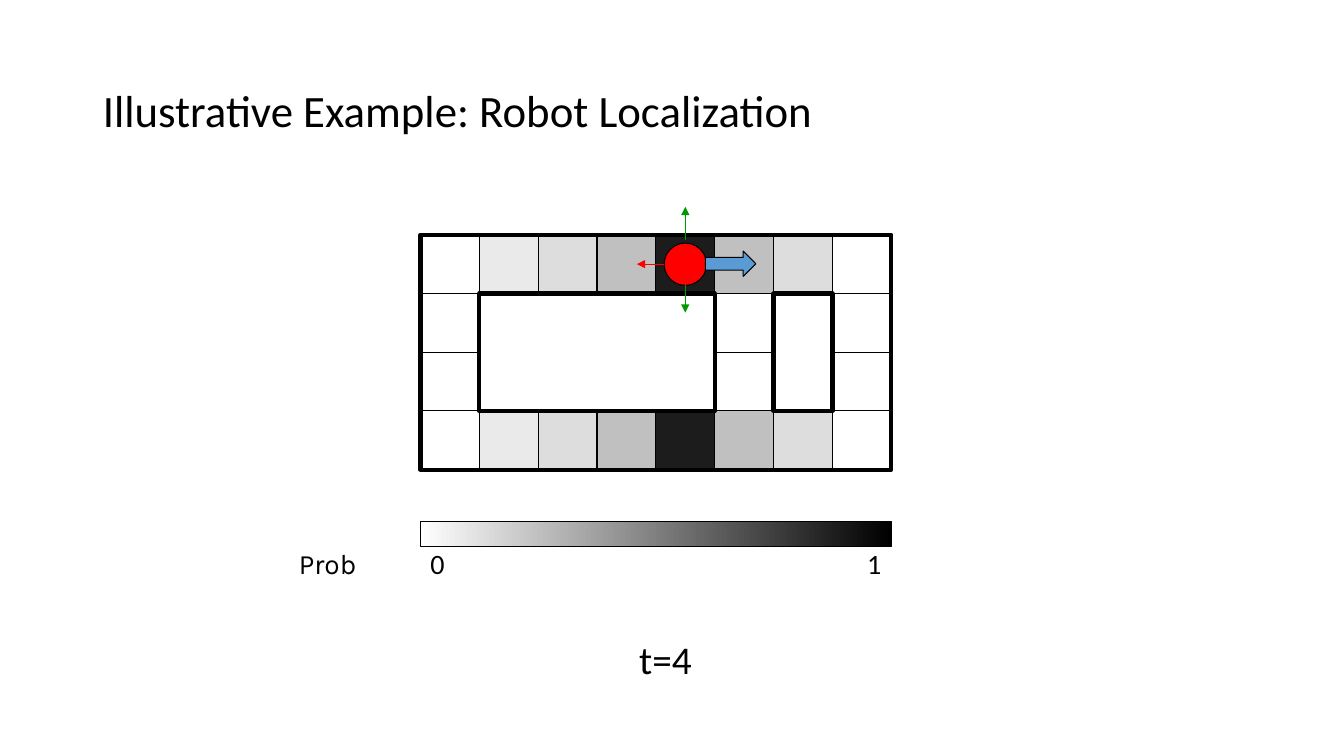
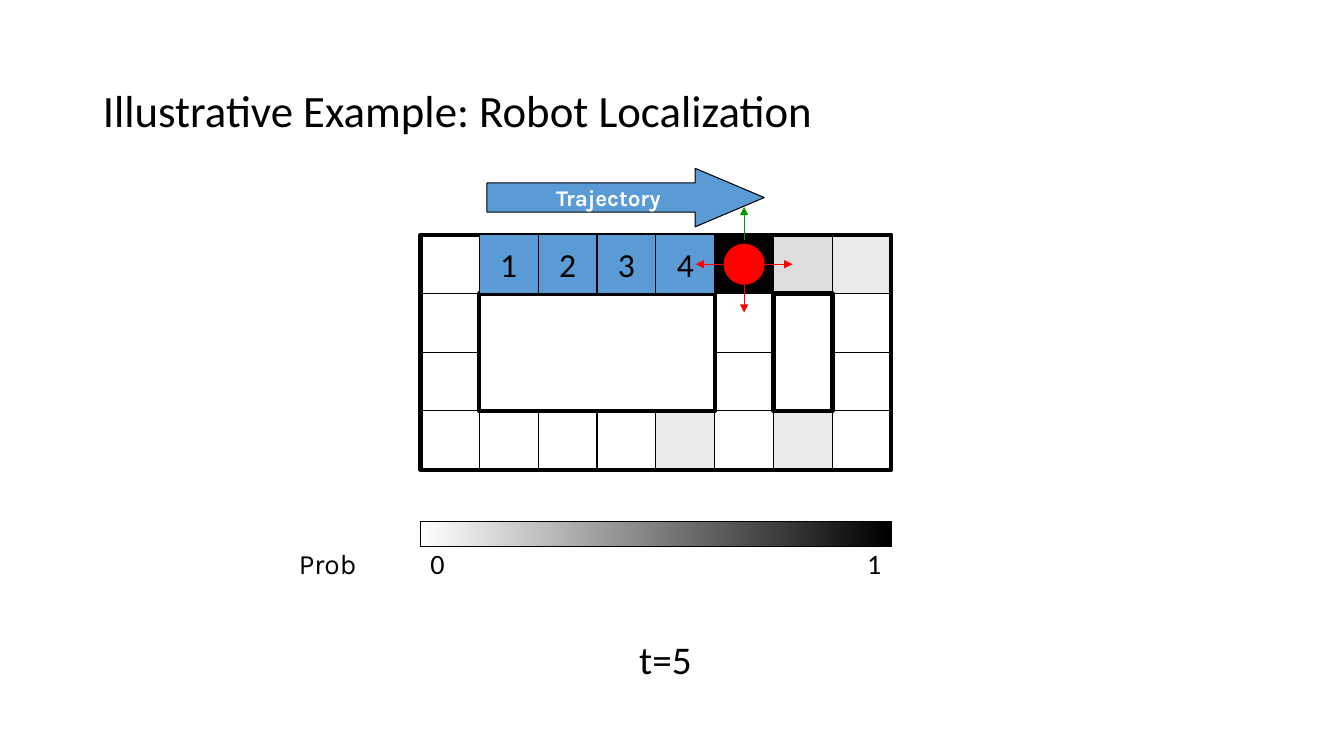
from dataclasses import dataclass

from lxml import etree
from pptx import Presentation
from pptx.dml.color import RGBColor
from pptx.enum import shapes, text
from pptx.oxml.ns import qn
from pptx.util import Inches, Pt

MSO = shapes.MSO_SHAPE
ALIGN = text.PP_ALIGN


@dataclass(frozen=True)
class Theme:
    """Colours, fonts and type sizes shared by the slides."""
    black: str = "000000"
    white: str = "FFFFFF"
    red: str = "FF0000"
    green: str = "009900"
    blue: str = "5B9BD5"
    font: str = "Calibri"
    label_font: str = "Karla"
    title: int = 32
    step: int = 28
    number: int = 24
    scale: int = 20
    label: int = 16
    thin: float = 0.75
    thick: float = 3


@dataclass(frozen=True)
class Box:
    """A rectangle in inches."""
    x: float
    y: float
    w: float
    h: float

    def inches(self):
        """Return left, top, width and height as lengths."""
        return [Inches(v) for v in (self.x, self.y, self.w, self.h)]

    def cell(self, col, row, cols=1, rows=1):
        """Return the box of a block of map cells."""
        w, h = self.w / COLS, self.h / ROWS
        return Box(self.x + col * w, self.y + row * h, cols * w, rows * h)


THEME = Theme()
TITLE = "Illustrative Example: Robot Localization"
TITLE_BOX = Box(0.92, 0.4, 11.5, 1.45)
MAP_BOX = Box(4.17, 2.33, 4.67, 2.33)
SCALE_BOX = Box(4.17, 5.17, 4.67, 0.25)
STEP_BOX = Box(2.35, 6.31, 8.5, 1)
COLS, ROWS = 8, 4
WALLS = [(1, 1, 4, 2), (0, 0, COLS, ROWS), (6, 1, 1, 2)]
SHADES = {".": None, "a": "EAEAEA", "b": "DDDDDD", "c": "C0C0C0", "d": "1C1C1C", "k": THEME.black}
DIRECTIONS = {"up": (0, -1), "down": (0, 1), "left": (-1, 0), "right": (1, 0)}

STEPS = [
    {"label": "t=4", "col": 4, "moving": True,
     "cells": [".abcdcb.", ".####.#.", ".####.#.", ".abcdcb."],
     "sensors": {"up": THEME.green, "down": THEME.green, "left": THEME.red}},
    {"label": "t=5", "col": 5, "trajectory": "Trajectory",
     "cells": [".1234kba", ".####.#.", ".####.#.", "....a.a."],
     "sensors": {"up": THEME.green, "down": THEME.red, "left": THEME.red, "right": THEME.red}},
]


def write(sp, words, size, align=ALIGN.CENTER, font=THEME.font, color=THEME.black,
          bold=False, anchor=text.MSO_ANCHOR.MIDDLE):
    """Set one formatted paragraph in a shape and return it."""
    tf = sp.text_frame
    tf.word_wrap = True
    tf.vertical_anchor = anchor
    p = tf.paragraphs[0]
    p.text = words
    p.alignment = align
    p.font.name, p.font.size, p.font.bold = font, Pt(size), bold
    p.font.color.rgb = RGBColor.from_string(color)
    return p


def add_shape(s, kind, box, fill=None, width=THEME.thin):
    """Add a black-outlined shape, filled if a colour is given."""
    sp = s.shapes.add_shape(kind, *box.inches())
    sp.shadow.inherit = False
    if fill:
        sp.fill.solid()
        sp.fill.fore_color.rgb = RGBColor.from_string(fill)
    else:
        sp.fill.background()
    sp.line.color.rgb = RGBColor.from_string(THEME.black)
    sp.line.width = Pt(width)
    return sp


def add_text(s, box, words, size, **style):
    """Add a text box and return its paragraph."""
    return write(s.shapes.add_textbox(*box.inches()), words, size, **style)


def add_arrow(s, start, end, color):
    """Add a thin line with a triangular head at its end."""
    line = s.shapes.add_connector(shapes.MSO_CONNECTOR.STRAIGHT,
                                  *[Inches(v) for v in (*start, *end)])
    line.line.color.rgb = RGBColor.from_string(color)
    line.line.width = Pt(THEME.thin)
    etree.SubElement(line.get_or_add_ln(), qn("a:tailEnd"), type="triangle")
    etree.SubElement(line.element.spPr, qn("a:effectLst"))


def add_title(s, box):
    """Place and format the slide title."""
    sp = s.shapes.title
    sp.left, sp.top, sp.width, sp.height = box.inches()
    write(sp, TITLE, THEME.title, align=ALIGN.LEFT).line_spacing = 0.9


def add_map(s, box, cells):
    """Draw the shaded cells, the walls and the numbered visited cells."""
    visited = []
    for row, marks in enumerate(cells):
        for col, mark in enumerate(marks):
            if mark.isdigit():
                visited.append((mark, box.cell(col, row)))
            elif mark in SHADES:
                add_shape(s, MSO.RECTANGLE, box.cell(col, row), SHADES[mark])
    for wall in WALLS:
        add_shape(s, MSO.RECTANGLE, box.cell(*wall), width=THEME.thick)
    for mark, cell in visited:
        write(add_shape(s, MSO.RECTANGLE, cell, THEME.blue), mark, THEME.number)


def add_scale(s, box):
    """Draw the probability gradient with its labels."""
    bar = add_shape(s, MSO.RECTANGLE, box)
    bar.fill.gradient()
    bar.fill.gradient_angle = 0
    for stop, color in zip(bar.fill.gradient_stops, (THEME.white, THEME.black)):
        stop.color.rgb = RGBColor.from_string(color)
    y, half = box.y + box.h, box.w / 2
    add_text(s, Box(box.x, y, half, 0.33), "0", THEME.scale, align=ALIGN.LEFT)
    add_text(s, Box(box.x + half, y, half, 0.33), "1", THEME.scale, align=ALIGN.RIGHT)
    add_text(s, Box(box.x - 1.67, y, 1.5, 0.33), "Prob", THEME.scale, font=THEME.label_font)


def add_robot(s, cell, sensors, moving=False):
    """Draw the robot in its cell with sensor arrows and any motion arrow."""
    x, y, size = cell.x + cell.w / 2, cell.y + cell.h / 2, 0.42
    add_shape(s, MSO.OVAL, Box(x - size / 2, y - size / 2, size, size), THEME.red)
    for name, color in sensors.items():
        dx, dy = DIRECTIONS[name]
        near, far = (0.24, 0.57) if name == "up" else (0.21, 0.48)
        add_arrow(s, (x + dx * near, y + dy * near), (x + dx * far, y + dy * far), color)
    if moving:
        add_shape(s, MSO.RIGHT_ARROW, Box(x + 0.2, y - 0.13, 0.5, 0.25), THEME.blue)


def add_trajectory(s, box, words):
    """Draw the labelled trajectory arrow above the map."""
    sp = add_shape(s, MSO.RIGHT_ARROW, Box(box.x + 0.66, box.y - 0.66, 2.75, 0.58), THEME.blue)
    sp.adjustments[1] = 1.18
    write(sp, words, THEME.label, font=THEME.label_font, color=THEME.white, bold=True)


def add_step_slide(prs, step):
    """Add the slide for one time step."""
    s = prs.slides.add_slide(prs.slide_layouts[5])
    add_title(s, TITLE_BOX)
    add_map(s, MAP_BOX, step["cells"])
    add_scale(s, SCALE_BOX)
    if "trajectory" in step:
        add_trajectory(s, MAP_BOX, step["trajectory"])
    add_robot(s, MAP_BOX.cell(step["col"], 0), step["sensors"], step.get("moving", False))
    p = add_text(s, STEP_BOX, step["label"], THEME.step, anchor=text.MSO_ANCHOR.TOP)
    p.line_spacing = 0.9


def main():
    """Build and save the presentation."""
    prs = Presentation()
    prs.slide_width, prs.slide_height = Inches(13.33), Inches(7.5)
    for step in STEPS:
        add_step_slide(prs, step)
    prs.save("out.pptx")


if __name__ == "__main__":
    main()
